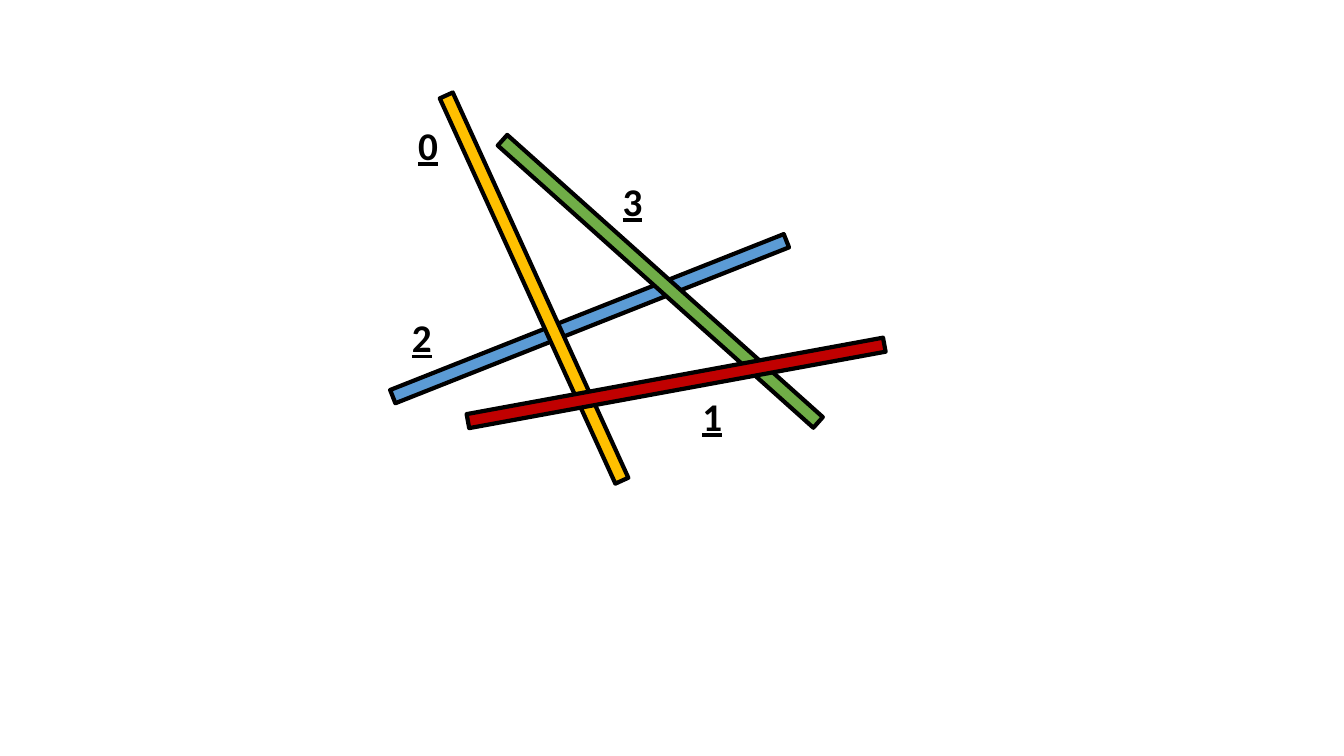
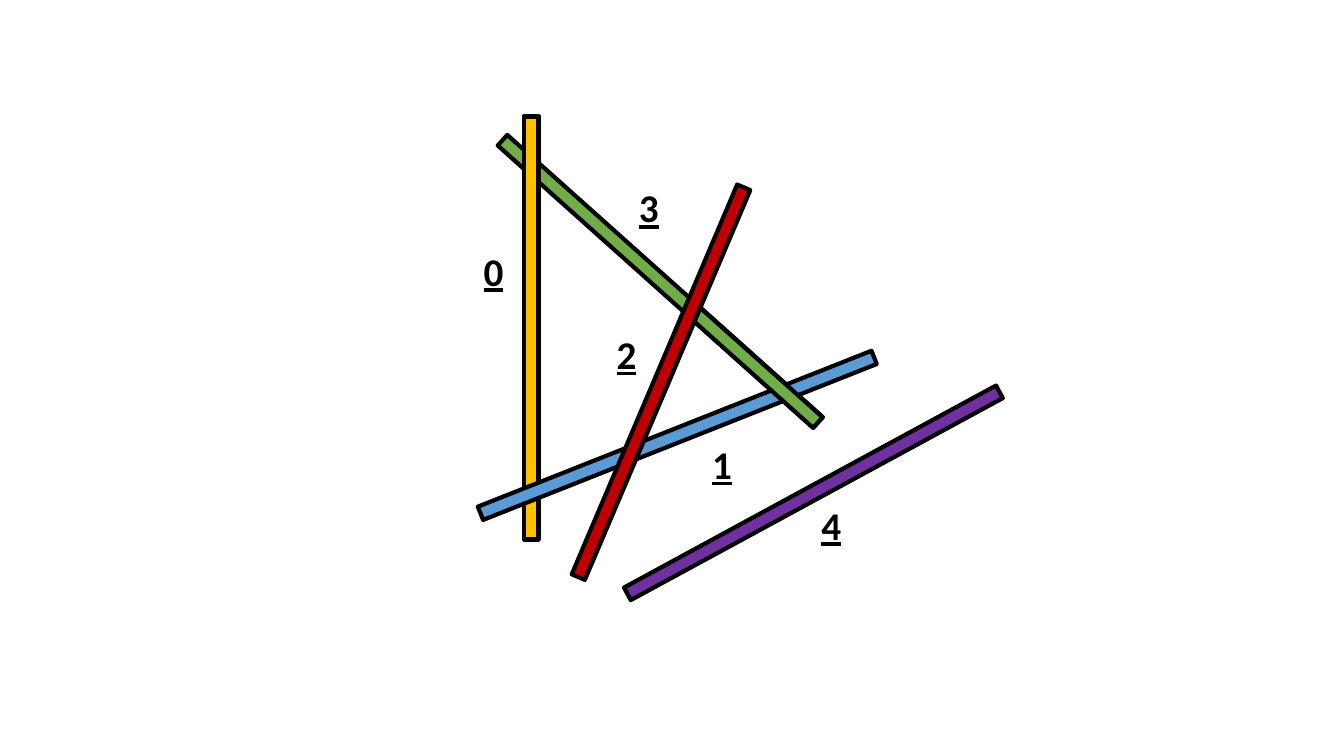
from pptx import Presentation
from pptx.dml.color import RGBColor
from pptx.enum.shapes import MSO_SHAPE
from pptx.enum.text import MSO_AUTO_SIZE
from pptx.util import Cm, Pt

# Shared style
BLACK, GOLD, GREEN = "000000", "FFC000", "70AD47"
BLUE, RED, PURPLE = "5B9BD5", "C00000", "7030A0"
LONG, THICK = 10.67, 0.36


def paint(color, code):
    color.rgb = RGBColor.from_string(code)


def write(slide, text, left, top, size=28, font="Calibri", color=BLACK,
          bold=True, under=True):
    box = slide.shapes.add_textbox(Cm(left), Cm(top), Cm(1.63), Cm(1.45))
    frame = box.text_frame
    frame.word_wrap = True
    frame.auto_size = MSO_AUTO_SIZE.SHAPE_TO_FIT_TEXT
    run = frame.paragraphs[0].add_run()
    run.text = text
    run.font.size, run.font.name = Pt(size), font
    run.font.bold, run.font.underline = bold, under
    paint(run.font.color, color)


# Sticks from back to front: color, centre x, centre y, length, angle
# Labels: text, left, top
green = (GREEN, 16.64, 7.09, LONG, 41.8)
piles = [
    ([(BLUE, 14.86, 8.03, LONG, 338.4),
      green,
      (GOLD, 13.46, 7.26, LONG, 65.5),
      (RED, 17.04, 9.65, LONG, 349.6)],
     [("0", 10.29, 2.92), ("3", 15.44, 4.34),
      ("2", 10.13, 7.77), ("1", 17.45, 9.75)]),
    # The short pieces weave a stick over its neighbour
    ([(GOLD, 13.39, 8.26, LONG, 90),
      green,
      (GOLD, 13.39, 7.68, 9.47, 90),
      (BLUE, 17.07, 10.97, LONG, 338.4),
      (GREEN, 19, 9.21, 4.32, 41.8),
      (RED, 16.66, 9.63, LONG, 293),
      (PURPLE, 20.5, 12.42, LONG, 331.5)],
     [("0", 11.94, 6.1), ("3", 15.85, 4.5), ("1", 17.7, 10.97),
      ("2", 15.29, 8.2), ("4", 20.45, 12.5)]),
]

deck = Presentation()
deck.slide_width, deck.slide_height = Cm(33.87), Cm(19.05)

for sticks, labels in piles:
    slide = deck.slides.add_slide(deck.slide_layouts[6])

    # Sticks
    for color, x, y, length, angle in sticks:
        stick = slide.shapes.add_shape(
            MSO_SHAPE.RECTANGLE, Cm(x - length / 2), Cm(y - THICK / 2),
            Cm(length), Cm(THICK))
        stick.rotation = angle
        stick.shadow.inherit = False
        stick.fill.solid()
        paint(stick.fill.fore_color, color)
        paint(stick.line.color, BLACK)
        stick.line.width = Pt(3)

    # Numbers
    for text, left, top in labels:
        write(slide, text, left, top)

deck.save("out.pptx")
